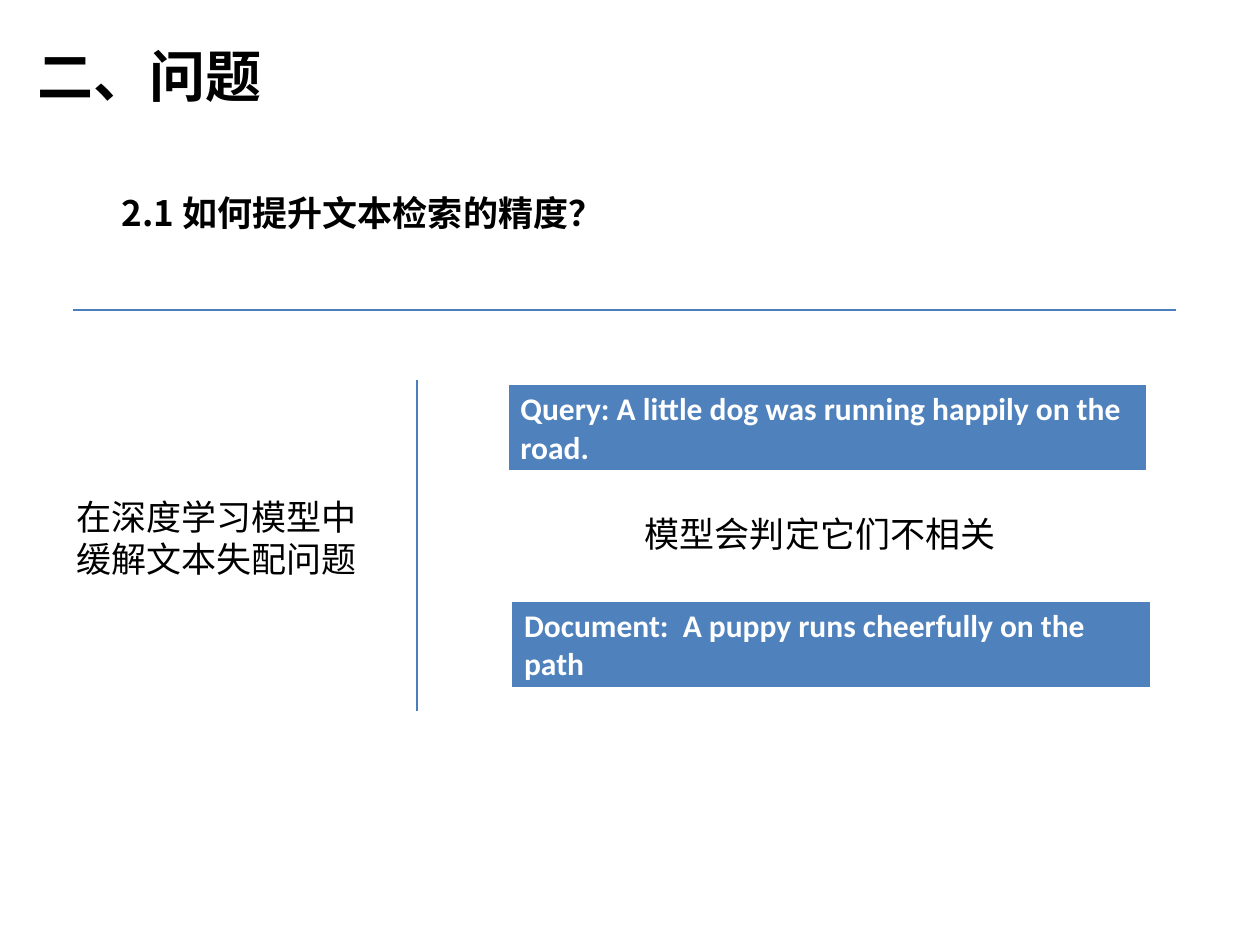
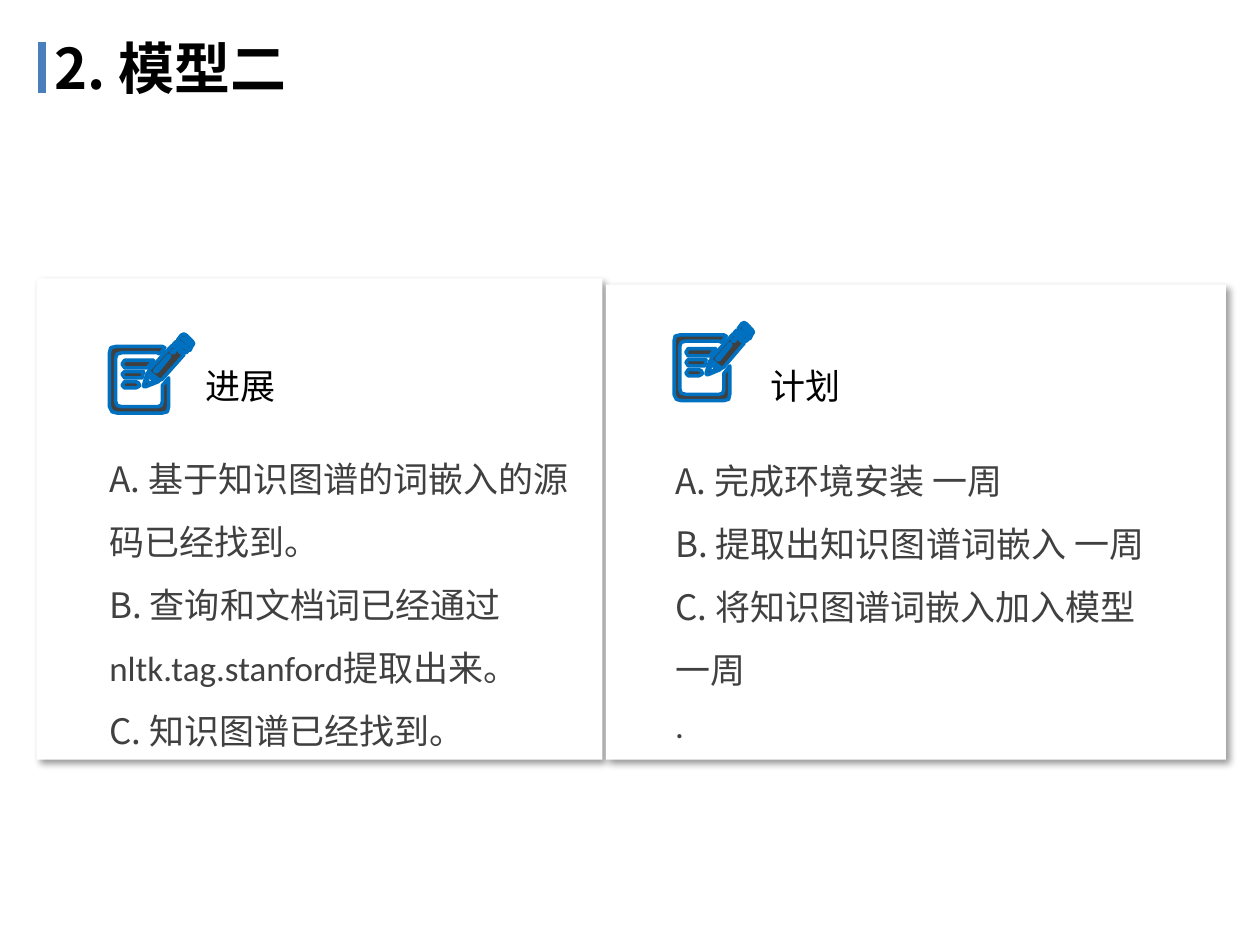
from dataclasses import dataclass
from typing import NamedTuple

from lxml.etree import SubElement
from pptx import Presentation
from pptx.dml.color import RGBColor as RGB
from pptx.enum.shapes import MSO_CONNECTOR as Connector, MSO_SHAPE as Shape
from pptx.enum.text import MSO_AUTO_SIZE as AutoSize
from pptx.oxml.ns import qn
from pptx.util import Pt


@dataclass(frozen=True)
class Theme:
    cjk: str = "Noto Sans CJK SC"
    latin: str = "Calibri"
    black: str = "000000"
    white: str = "FFFFFF"
    ink: str = "404040"
    rule: str = "4B7EBC"
    cell: str = "4F81BD"
    outline: str = "0070C0"
    title: float = 32
    body: float = 20
    sentence: float = 18


THEME = Theme()


class Box(NamedTuple):
    left: float
    top: float
    width: float
    height: float

    def lengths(self) -> list:
        return [Pt(v) for v in self]


class Run(NamedTuple):
    text: str
    font: str = THEME.cjk


class Line(NamedTuple):
    runs: tuple
    spacing: float = 1.5


class Sentence(NamedTuple):
    text: str
    box: Box


class Rule(NamedTuple):
    x1: float
    y1: float
    x2: float
    y2: float
    weight: float = 0.75


class Panel(NamedTuple):
    card: Box
    icon: Box
    heading: str
    heading_box: Box
    body_box: Box
    lines: tuple


ICON_GRID = (67, 63)
TEXT_BARS = [
    [(12, 38), (21, 38), (23, 39), (24, 41), (23, 42), (21, 43), (12, 43), (10, 41)],
    [(12, 30), (27, 30), (26, 35), (12, 35), (10, 32)],
    [(12, 21), (35, 21), (30, 27), (12, 27), (10, 24)],
]
SHEET = [
    (5, 10), (42, 10), (44, 11), (40, 16), (38, 15), (10, 15), (6, 16), (5, 19),
    (5, 54), (6, 57), (10, 58), (38, 58), (41, 57), (42, 54), (42, 41), (43, 40),
    (47, 35), (47, 58), (46, 62), (42, 63), (6, 63), (2, 62), (0, 58), (0, 15), (1, 11),
]
PENCIL = [
    [(31, 33), (30, 38), (32, 39), (36, 38)],
    [(30, 31), (39, 38), (29, 42), (27, 42), (27, 41)],
    [(47, 17), (36, 29), (36, 30), (38, 30), (48, 18)],
    [(51, 13), (49, 14), (49, 15), (51, 15), (52, 14)],
    [(50, 9), (59, 17), (58, 18), (42, 36), (40, 37), (31, 30), (32, 28), (49, 10)],
    [(53, 6), (63, 13), (61, 15), (60, 15), (51, 8), (52, 7)],
    [(59, 3), (58, 4), (63, 9), (65, 8)],
    [(59, 0), (61, 1), (66, 6), (67, 8), (66, 9), (64, 13), (54, 5), (57, 1)],
]
ICON_OUTLINES = [*TEXT_BARS, SHEET, *PENCIL]

SENTENCES = [
    Sentence("Query: A little dog was running happily on the road.",
             Box(290.2, 219.6, 365, 50.4)),
    Sentence("Document:  A puppy runs cheerfully on the path",
             Box(292.3, 343.4, 365, 50.4)),
]
PROBLEM_RULES = [Rule(238.3, 217.4, 238.3, 406.1), Rule(41.8, 177.1, 671.8, 177.1)]
TITLE_BAR = Rule(23.8, 23.8, 23.8, 53.3, 4.5)

PANELS = [
    Panel(
        Box(20.9, 159.1, 323.3, 275), Box(62.6, 190.8, 48.2, 45.2),
        "进展", Box(110.2, 204.5, 54.7, 31.7), Box(55.4, 246.2, 295.9, 185),
        (
            Line((Run("A. 基于知识图谱的词嵌入的源码已经找到。"),)),
            Line((Run("B. 查询和文档词已经通过"),
                  Run("nltk.tag.stanford", THEME.latin), Run("提取出来。"))),
            Line((Run("C. 知识图谱已经找到。"),)),
        ),
    ),
    Panel(
        Box(346.3, 162.7, 354.2, 271.4), Box(385.2, 184.3, 45.4, 44.6),
        "计划", Box(433.4, 204.5, 54.7, 31.7), Box(378.7, 247, 292.3, 184.3),
        (
            Line((Run("A. 完成环境安装 一周"),)),
            Line((Run("B. 提取出知识图谱词嵌入 一周"),)),
            Line((Run("C. 将知识图谱词嵌入加入模型 一周"),)),
            Line((Run(".", THEME.latin),), 1.3),
        ),
    ),
]


def plain(*texts: str) -> tuple:
    """Turn strings into single-spaced lines."""
    return tuple(Line((Run(t),), 1) for t in texts)


def write_text(tf, lines: tuple, *, size: float = THEME.body,
               color: str = THEME.black, bold: bool = False) -> None:
    """Fill a text frame with formatted lines."""
    for i, line in enumerate(lines):
        p = tf.paragraphs[0] if i == 0 else tf.add_paragraph()
        if line.spacing != 1:
            p.line_spacing = line.spacing
        for run in line.runs:
            r = p.add_run()
            r.text = run.text
            r.font.size = Pt(size)
            r.font.bold = bold
            r.font.color.rgb = RGB.from_string(color)
            r.font.name = run.font
            SubElement(r.font._element, qn("a:ea"), typeface=run.font)


def add_text(s, box: Box, lines: tuple, *, wrap: bool = True, **style) -> None:
    """Add a text box that grows with its text."""
    tf = s.shapes.add_textbox(*box.lengths()).text_frame
    tf.word_wrap = wrap
    tf.auto_size = AutoSize.SHAPE_TO_FIT_TEXT
    write_text(tf, lines, **style)


def add_title(s, box: Box, text: str, *, wrap: bool = True) -> None:
    """Add the slide title."""
    add_text(s, box, plain(text), wrap=wrap, size=THEME.title, bold=True)


def add_rule(s, rule: Rule) -> None:
    """Draw a straight rule without a shadow."""
    ends = [Pt(v) for v in rule[:4]]
    sp = s.shapes.add_connector(Connector.STRAIGHT, *ends)
    sp.line.color.rgb = RGB.from_string(THEME.rule)
    sp.line.width = Pt(rule.weight)
    SubElement(sp._element.spPr, qn("a:effectLst"))


def add_color(parent, color: str):
    """Append an RGB colour element and return it."""
    return SubElement(parent, qn("a:srgbClr"), val=color)


def add_sentence(s, sentence: Sentence) -> None:
    """Draw one sentence as a table of a single cell."""
    table = s.shapes.add_table(1, 1, *sentence.box.lengths()).table
    cell = table.cell(0, 0)
    write_text(cell.text_frame, (Line((Run(sentence.text, THEME.latin),), 1),),
               size=THEME.sentence, color=THEME.white, bold=True)
    tc_pr = cell._tc.get_or_add_tcPr()
    for side, weight in {"L": 1, "R": 1, "T": 1, "B": 3}.items():
        ln = SubElement(tc_pr, qn(f"a:ln{side}"), w=str(Pt(weight)))
        add_color(SubElement(ln, qn("a:solidFill")), THEME.white)
    cell.fill.solid()
    cell.fill.fore_color.rgb = RGB.from_string(THEME.cell)


def add_card(s, box: Box) -> None:
    """Draw a white card with a soft shadow at the lower right."""
    sp = s.shapes.add_shape(Shape.RECTANGLE, *box.lengths())
    sp.fill.solid()
    sp.fill.fore_color.rgb = RGB.from_string(THEME.white)
    sp.line.fill.background()
    effects = SubElement(sp._element.spPr, qn("a:effectLst"))
    shadow = SubElement(effects, qn("a:outerShdw"), blurRad=str(Pt(4)),
                        dist=str(Pt(3)), dir=str(45 * 60000), algn="tl",
                        rotWithShape="0")
    SubElement(add_color(shadow, THEME.black), qn("a:alpha"), val="40000")


def add_note_icon(s, box: Box) -> None:
    """Draw a sheet with a pencil, scaled into the box."""
    left, top, width, height = box.lengths()
    scale = (width / ICON_GRID[0], height / ICON_GRID[1])
    first, *others = ICON_OUTLINES
    builder = s.shapes.build_freeform(*first[0], scale=scale)
    builder.add_line_segments(first[1:], close=True)
    for outline in others:
        builder.move_to(*outline[0])
        builder.add_line_segments(outline[1:], close=True)
    sp = builder.convert_to_shape(left, top)
    sp.shadow.inherit = False
    sp.fill.solid()
    sp.fill.fore_color.rgb = RGB.from_string(THEME.ink)
    sp.line.color.rgb = RGB.from_string(THEME.outline)
    sp.line.width = Pt(2)
    SubElement(sp.line._get_or_add_ln(), qn("a:round"))


def add_panel(s, panel: Panel) -> None:
    """Draw a card with its icon, heading and list."""
    add_card(s, panel.card)
    add_note_icon(s, panel.icon)
    add_text(s, panel.body_box, panel.lines, color=THEME.ink)
    add_text(s, panel.heading_box, plain(panel.heading), wrap=False)


def build_problem(s) -> None:
    """Build the slide on text mismatch."""
    add_title(s, Box(14.4, 20.2, 169.9, 46.1), "二、问题")
    add_text(s, Box(36.7, 279.4, 180, 55.4),
             plain("在深度学习模型中", "缓解文本失配问题"))
    add_text(s, Box(62.6, 105.8, 299.5, 31.7),
             plain("2.1 如何提升文本检索的精度？"), wrap=False, bold=True)
    for sentence in SENTENCES:
        add_sentence(s, sentence)
    add_text(s, Box(361.4, 289.4, 216.7, 31.7),
             plain("模型会判定它们不相关"), wrap=False)
    for rule in PROBLEM_RULES:
        add_rule(s, rule)


def build_model(s) -> None:
    """Build the slide on progress and plans."""
    add_title(s, Box(23.8, 15.8, 160.6, 46.1), "2. 模型二", wrap=False)
    for panel in PANELS:
        add_panel(s, panel)
    add_rule(s, TITLE_BAR)


def main() -> None:
    """Build and save the presentation."""
    prs = Presentation()
    prs.slide_width, prs.slide_height = Pt(720), Pt(540)
    for build in (build_problem, build_model):
        build(prs.slides.add_slide(prs.slide_layouts[6]))
    prs.save("out.pptx")


if __name__ == "__main__":
    main()
